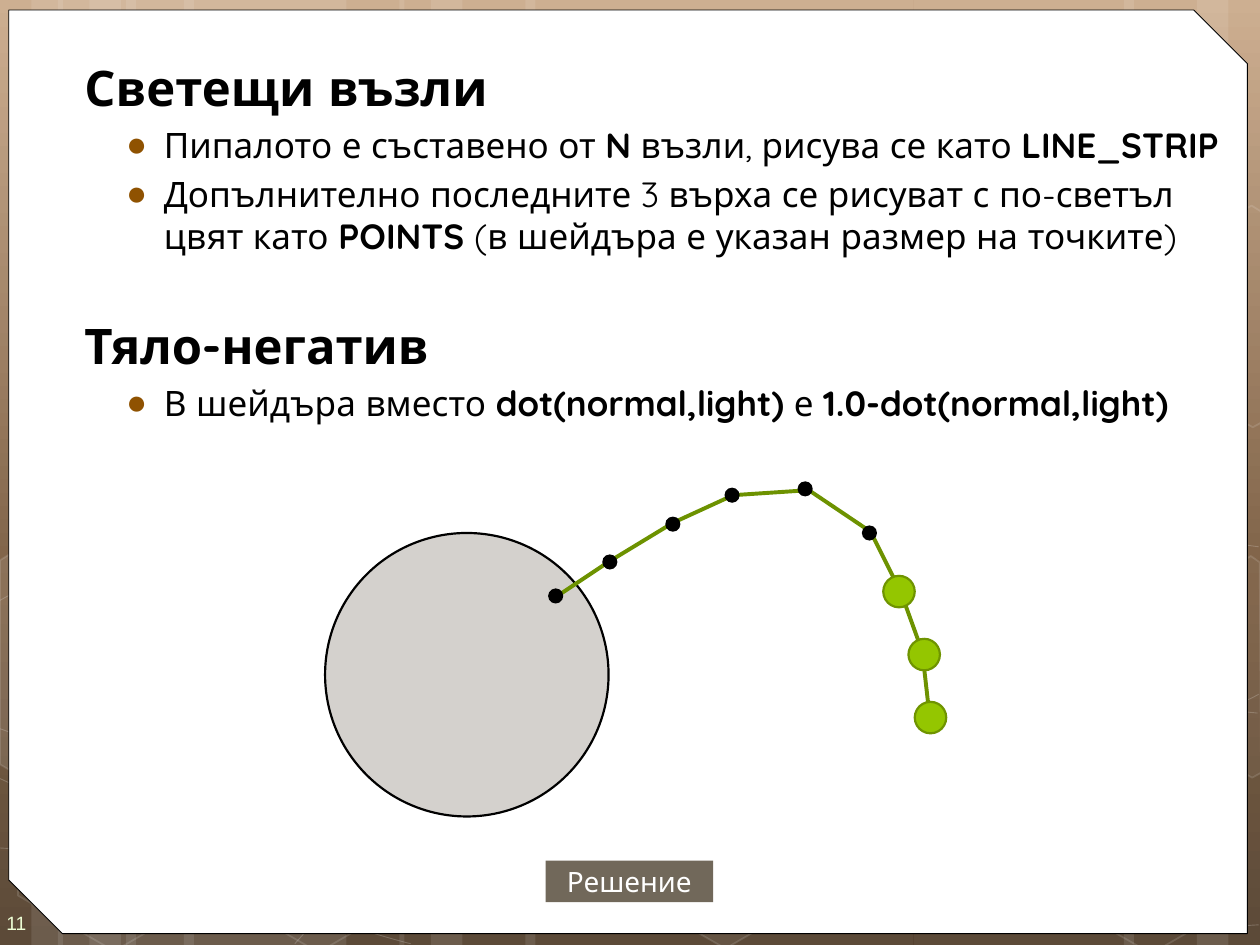
from copy import deepcopy
from dataclasses import dataclass
from math import cos, radians, sin
from typing import NamedTuple, Optional

from pptx import Presentation
from pptx.dml.color import RGBColor
from pptx.enum.shapes import MSO_SHAPE
from pptx.enum.text import MSO_ANCHOR, MSO_AUTO_SIZE, PP_ALIGN
from pptx.oxml.ns import qn
from pptx.oxml.xmlchemy import OxmlElement
from pptx.util import Inches, Pt


@dataclass(frozen=True)
class Theme:
    font: str = "Quicksand"
    number_font: str = "Arial"
    heading_size: int = 28
    item_size: int = 20
    button_size: int = 16
    number_size: int = 11
    ink: str = "000000"
    paper: str = "FFFFFF"
    bullet: str = "8F5201"
    stone: str = "71685A"
    strand: str = "6D9200"
    glow: str = "94C600"
    glow_edge: str = "6F9400"
    number: str = "EEFFD6"
    backdrop: tuple = ((0, "C8A685"), (0.62, "705032"), (1, "4A3622"))


class Paint(NamedTuple):
    fill: Optional[str] = None
    fill_opacity: int = 100
    line: Optional[str] = None
    width: float = 1
    line_opacity: int = 100


class Paragraph(NamedTuple):
    runs: tuple
    heading: bool = False
    space_before: float = 4


THEME = Theme()
STRIPES = [(1, 1.75), (0, 0.5), (0.25, 0.83), (1.46, 1.75), (0.46, 0.5), (0.71, 0.83),
           (7.25, 1.75), (9.5, 0.5), (8.92, 0.83), (4.17, 3.08), (3.17, 0.5), (3.42, 0.83)]
WAVES = [
    [(-0.01, 6.73), (0.53, 6.76), (1.07, 6.79), (1.82, 6.78), (2.57, 6.77), (3.49, 6.75), (4.5, 6.65),
     (5.5, 6.55), (6.92, 6.36), (7.83, 6.17), (8.75, 5.98), (9.69, 5.68), (9.99, 5.51)],
    [(-0.01, 4.77), (0.28, 4.61), (0.56, 4.46), (1.13, 4.31), (1.7, 4.16), (2.5, 3.94), (3.39, 3.87),
     (4.28, 3.8), (5.36, 3.79), (6.46, 3.87), (7.56, 3.95), (9.39, 4.26), (9.99, 4.34)],
    [(-0.02, 6.17), (1.18, 6.72), (2.39, 7.27), (3.26, 7.49)],
    [(-0.01, 5.78), (0.3, 5.89), (0.61, 6), (1.2, 6.16), (1.78, 6.31), (2.65, 6.56), (3.48, 6.73),
     (4.32, 6.9), (5.37, 7.08), (6.2, 7.18), (7.02, 7.29), (7.91, 7.33), (8.44, 7.36),
     (8.97, 7.4), (9.11, 7.38), (9.37, 7.38), (9.62, 7.37), (9.81, 7.35), (9.99, 7.34)],
    [(2.34, 7.49), (2.52, 7.29), (2.69, 7.09), (2.94, 6.91), (3.18, 6.73), (3.51, 6.53), (3.79, 6.39),
     (4.07, 6.25), (4.24, 6.19), (4.61, 6.09), (4.98, 5.99), (5.65, 5.85), (6, 5.78),
     (6.35, 5.71), (6.41, 5.71), (6.72, 5.69), (7.03, 5.66), (7.51, 5.63), (7.86, 5.62),
     (8.2, 5.61), (8.78, 5.62), (8.78, 5.62), (9, 5.62), (9.22, 5.62), (9.44, 5.62),
     (9.63, 5.63), (9.8, 5.64), (9.98, 5.66)]]
HEXAGONS = [
    (3.28, 3.13, 10, 12), (4.07, 4.51, 0, 12), (4.08, 1.74, 7, 8), (3.26, 0.36, 4, 8),
    (4.88, 5.89, 6, 12), (0.03, 5.91, 0, 12), (0.06, 3.12, 7, 8), (0.85, 4.51, 0, 12),
    (1.65, 5.92, 0, 12), (1.67, 3.13, 7, 8), (0.87, 1.71, 0, 12), (7.44, 4.53, 10, 12),
    (8.26, 5.93, 0, 12), (8.26, 3.14, 7, 8)]
CUT_HEXAGONS = [
    ((0.27, 5.35), [(0, 4.45), (0.11, 4.38), (0.87, 4.82), (0.87, 5.7), (0.12, 6.14), (0, 6.07)], 10),
    ((9.77, 5.2), [(9.18, 4.85), (9.93, 4.41), (10, 4.46), (10.01, 6.13), (9.94, 6.17), (9.17, 5.73)], 4),
    ((9.77, 2.41), [(9.18, 2.07), (9.93, 1.63), (10.01, 1.68), (10.01, 3.35), (9.94, 3.39), (9.17, 2.95)], 0)]
PARAGRAPHS = [
    Paragraph((("Светещи възли", True),), True, 5.6),
    Paragraph((("Пипалото е съставено от ", False), ("N", True),
               (" възли, рисува се като ", False), ("LINE_STRIP", True))),
    Paragraph((("Допълнително последните 3 върха се рисуват с по-светъл цвят като ", False),
               ("POINTS ", True), ("(в шейдъра е указан размер на точките)", False))),
    Paragraph((("Тяло-негатив", True),), True, 33.5),
    Paragraph((("В шейдъра вместо ", False), ("dot(normal,light)", True),
               (" е ", False), ("1.0-dot(normal,light)", True)))]
TENTACLE = [(4.41, 4.74), (4.83, 4.46), (5.34, 4.15), (5.82, 3.93), (6.42, 3.89),
            (6.91, 4.22), (7.15, 4.7), (7.32, 5.17), (7.38, 5.7)]
GLOWING_NODES = [(7.01, 4.57), (7.21, 5.07), (7.26, 5.57)]
DARK_NODES = [(4.35, 4.67), (5.75, 3.87), (6.33, 3.82), (6.84, 4.17), (5.28, 4.1), (4.78, 4.4)]


def apply_color(fill, color: str, opacity: int, color_parent) -> None:
    fill.solid()
    fill.fore_color.rgb = RGBColor.from_string(color)
    if opacity < 100:
        alpha = OxmlElement("a:alpha")
        alpha.set("val", str(opacity * 1000))
        color_parent.find(qn("a:solidFill"))[0].append(alpha)


def paint_shape(shape, paint: Paint):
    shape.shadow.inherit = False
    shape.fill.background()
    shape.line.fill.background()
    properties = shape._element.spPr
    if paint.fill and paint.fill_opacity:
        apply_color(shape.fill, paint.fill, paint.fill_opacity, properties)
    if paint.line:
        shape.line.width = Pt(paint.width)
        apply_color(shape.line.fill, paint.line, paint.line_opacity, properties.find(qn("a:ln")))
    return shape


def draw_shape(shapes, preset: MSO_SHAPE, box: tuple, paint: Paint):
    return paint_shape(shapes.add_shape(preset, *map(Inches, box)), paint)


def draw_outline(shapes, points: list, paint: Paint, close: bool = False):
    start, *rest = [(Inches(x), Inches(y)) for x, y in points]
    builder = shapes.build_freeform(*start)
    builder.add_line_segments(rest, close=close)
    return paint_shape(builder.convert_to_shape(), paint)


def draw_curve(shapes, controls: list, paint: Paint) -> None:
    outline = draw_outline(shapes, controls, paint)._element.find(".//" + qn("a:path"))
    segments = outline.findall(qn("a:lnTo"))
    for first in range(0, len(segments), 3):
        curve = OxmlElement("a:cubicBezTo")
        for segment in segments[first:first + 3]:
            curve.append(segment[0])
            outline.remove(segment)
        outline.append(curve)


def turn_back(point: tuple, center: tuple, degrees: float) -> tuple:
    dx, dy = point[0] - center[0], point[1] - center[1]
    c, s = cos(radians(degrees)), sin(radians(degrees))
    return center[0] + dx * c + dy * s, center[1] - dx * s + dy * c


def add_run(paragraph, text: str, size: int, color: str, bold=False, font=THEME.font) -> None:
    run = paragraph.add_run()
    run.text = text
    run.font.name, run.font.size, run.font.bold = font, Pt(size), bold
    run.font.color.rgb = RGBColor.from_string(color)


def set_margins(frame, *margins: float) -> None:
    frame.vertical_anchor = MSO_ANCHOR.MIDDLE
    (frame.margin_left, frame.margin_top, frame.margin_right, frame.margin_bottom) = map(Inches, margins)


def format_indent(paragraph, heading: bool) -> None:
    properties = paragraph._p.get_or_add_pPr()
    properties.set("marL", str(Inches(0.07 if heading else 0.7)))
    properties.set("indent", str(Inches(0 if heading else -0.3)))
    if heading:
        properties.append(OxmlElement("a:buNone"))
        return
    bullet_color, color, bullet = map(OxmlElement, ("a:buClr", "a:srgbClr", "a:buChar"))
    color.set("val", THEME.bullet)
    bullet_color.append(color)
    bullet.set("char", "●")
    properties.extend([bullet_color, bullet])


def draw_backdrop(slide) -> None:
    shapes, white, fill = slide.shapes, THEME.paper, slide.background.fill
    fill.gradient()
    fill.gradient_angle = 270
    stop_list = slide._element.find(".//" + qn("a:gsLst"))
    stop_list.append(deepcopy(stop_list[-1]))
    for stop, (position, color) in zip(fill.gradient_stops, THEME.backdrop):
        stop.position, stop.color.rgb = position, RGBColor.from_string(color)
    for left, width in STRIPES:
        draw_shape(shapes, MSO_SHAPE.RECTANGLE, (left, 0, width, 7.5), Paint(white, 10))
    for wave in WAVES:
        draw_curve(shapes, wave, Paint(line=white, width=0.5, line_opacity=20))
    for left, top, fill_opacity, line_opacity in HEXAGONS:
        hexagon = draw_shape(shapes, MSO_SHAPE.HEXAGON, (left, top, 1.75, 1.52),
                             Paint(white, fill_opacity, white, 1, line_opacity))
        hexagon.adjustments[0], hexagon.rotation = 0.285, 30
    for center, corners, fill_opacity in CUT_HEXAGONS:
        upright = [turn_back(corner, center, 30) for corner in corners]
        draw_outline(shapes, upright, Paint(white, fill_opacity, white, 1, 12), True).rotation = 30
    card = draw_shape(shapes, MSO_SHAPE.SNIP_2_DIAG_RECTANGLE, (0.07, 0.08, 9.83, 7.33),
                      Paint(white, line=THEME.ink, width=0.5))
    card.adjustments[0], card.adjustments[1] = 0, 0.058
    frame = shapes.add_textbox(*map(Inches, (0, 7.1, 0.58, 0.4))).text_frame
    frame.word_wrap = True
    set_margins(frame, 0.05, 0.15, 0, 0.1)
    add_run(frame.paragraphs[0], "11", THEME.number_size, THEME.number, font=THEME.number_font)


def write_body(slide) -> None:
    body = slide.placeholders[1]
    slide.shapes._spTree.append(body._element)
    body.left, body.top, body.width, body.height = map(Inches, (0.5, 0.41, 9.42, 7.01))
    frame = body.text_frame
    frame.auto_size, frame.vertical_anchor = MSO_AUTO_SIZE.NONE, MSO_ANCHOR.TOP
    for index, content in enumerate(PARAGRAPHS):
        paragraph = frame.add_paragraph() if index else frame.paragraphs[0]
        paragraph.level = 0 if content.heading else 1
        paragraph.space_before = Pt(content.space_before)
        format_indent(paragraph, content.heading)
        for text, bold in content.runs:
            size = THEME.heading_size if content.heading else THEME.item_size
            add_run(paragraph, text, size, THEME.ink, bold)


def draw_creature(shapes) -> None:
    draw_shape(shapes, MSO_SHAPE.OVAL, (2.58, 4.23, 2.25, 2.25), Paint(THEME.stone, 30, THEME.ink, 1.25))
    draw_outline(shapes, TENTACLE, Paint(line=THEME.strand, width=2.25))
    glowing = Paint(THEME.glow, line=THEME.glow_edge, width=1.25)
    for nodes, size, paint in ((GLOWING_NODES, 0.25, glowing), (DARK_NODES, 0.12, Paint(THEME.ink))):
        for left, top in nodes:
            draw_shape(shapes, MSO_SHAPE.OVAL, (left, top, size, size), paint)


def draw_button(shapes) -> None:
    frame = draw_shape(shapes, MSO_SHAPE.RECTANGLE, (4.33, 6.83, 1.33, 0.33), Paint(THEME.stone)).text_frame
    set_margins(frame, 0, 0.05, 0, 0.05)
    frame.paragraphs[0].alignment = PP_ALIGN.CENTER
    add_run(frame.paragraphs[0], "Решение", THEME.button_size, THEME.paper)


deck = Presentation()
deck.slide_width, deck.slide_height = Inches(10), Inches(7.5)
slide = deck.slides.add_slide(deck.slide_layouts[1])
slide.shapes._spTree.remove(slide.shapes.title._element)
draw_backdrop(slide)
write_body(slide)
draw_creature(slide.shapes)
draw_button(slide.shapes)
deck.save("out.pptx")
